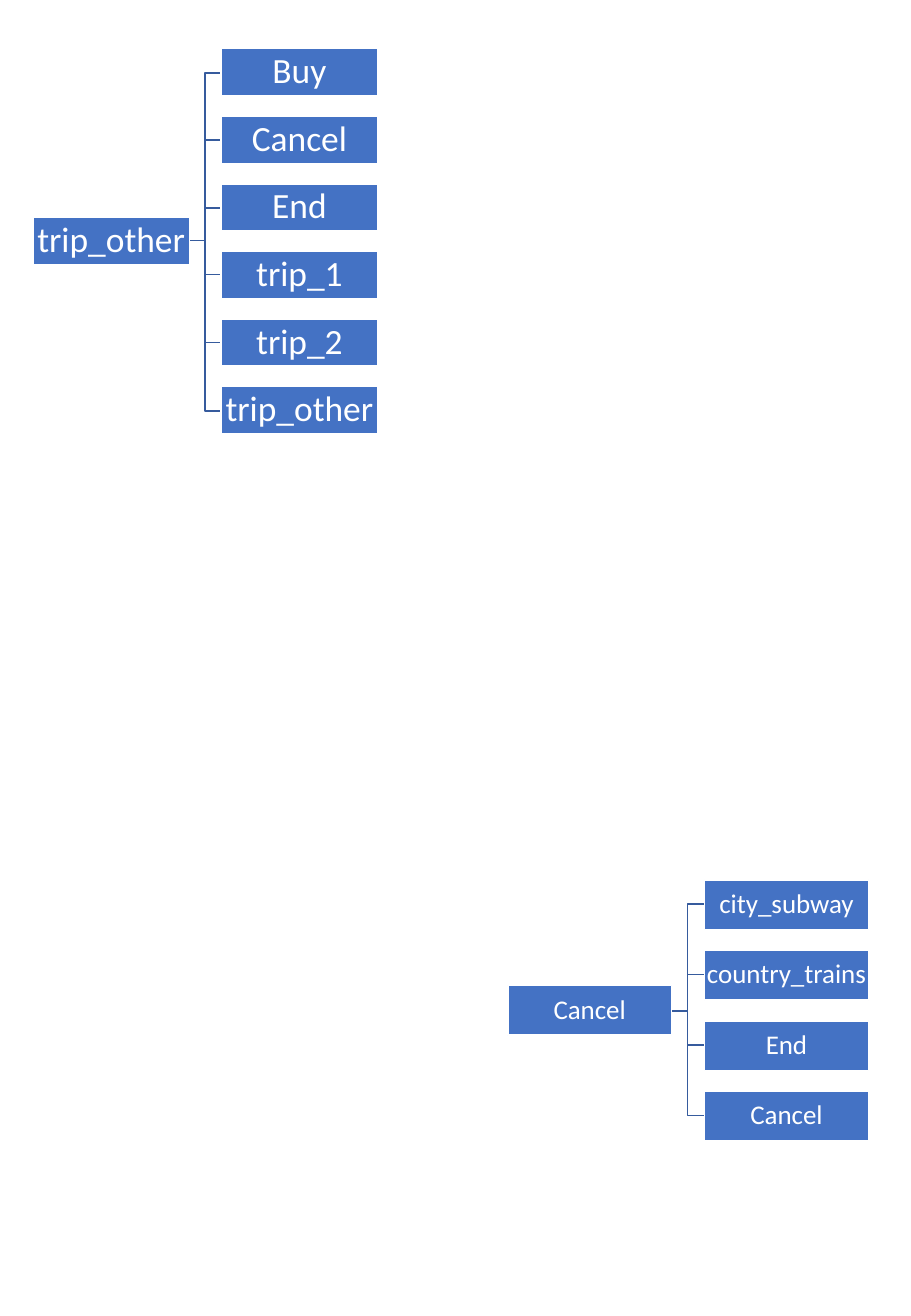
from pptx import Presentation
from pptx.dml.color import RGBColor
from pptx.enum.shapes import MSO_SHAPE
from pptx.enum.text import MSO_ANCHOR, PP_ALIGN
from pptx.util import Emu, Pt

EMU_PER_PX = 9144  # 100 px to the inch
BOX_BLUE = RGBColor(0x44, 0x72, 0xC4)
BRANCH_BLUE = RGBColor(0x36, 0x5B, 0x9D)
WHITE = RGBColor(0xFF, 0xFF, 0xFF)


def px(length):
    return Emu(round(length * EMU_PER_PX))


class TreeSlide:
    font = "Calibri"
    line_width = Pt(1)
    inset = px(1)

    def __init__(self, slide):
        self.slide = slide

    def box(self, group, label, left, top, width, height, size):
        node = group.shapes.add_shape(
            MSO_SHAPE.RECTANGLE, px(left), px(top), px(width), px(height))
        node.shadow.inherit = False
        node.fill.solid()
        node.fill.fore_color.rgb = BOX_BLUE
        node.line.color.rgb = WHITE
        node.line.width = self.line_width

        frame = node.text_frame
        frame.word_wrap = False
        frame.vertical_anchor = MSO_ANCHOR.MIDDLE
        frame.margin_left = frame.margin_right = self.inset
        frame.margin_top = frame.margin_bottom = self.inset
        paragraph = frame.paragraphs[0]
        paragraph.alignment = PP_ALIGN.CENTER
        paragraph.line_spacing = 0.9
        run = paragraph.add_run()
        run.text = label
        run.font.name = self.font
        run.font.size = Pt(size)
        run.font.color.rgb = WHITE

    def branch(self, group, start_x, start_y, end_x, end_y):
        """Draw a right-angled line that turns halfway across."""
        middle_x = (start_x + end_x) / 2
        builder = group.shapes.build_freeform(start_x, start_y, scale=EMU_PER_PX)
        builder.add_line_segments(
            [(middle_x, start_y), (middle_x, end_y), (end_x, end_y)], close=False)
        elbow = builder.convert_to_shape()
        elbow.shadow.inherit = False
        elbow.fill.background()
        elbow.line.color.rgb = BRANCH_BLUE
        elbow.line.width = self.line_width

    def tree(self, root, children, left, top, last_top, width, height, gap, size):
        """Draw a root box, centred beside an evenly spaced column of children."""
        group = self.slide.shapes.add_group_shape()
        pitch = (last_top - top) / (len(children) - 1)
        child_tops = [top + row * pitch for row in range(len(children))]
        root_top = (top + last_top) / 2
        root_right = left + width
        child_left = root_right + gap

        for child_top in reversed(child_tops):
            self.branch(group, root_right, root_top + height / 2,
                        child_left, child_top + height / 2)
        self.box(group, root, left, root_top, width, height, size)
        for label, child_top in zip(children, child_tops):
            self.box(group, label, child_left, child_top, width, height, size)


def main():
    deck = Presentation()
    deck.slide_width, deck.slide_height = px(750), px(1083)
    page = TreeSlide(deck.slides.add_slide(deck.slide_layouts[6]))
    page.tree("trip_other",
              ["Buy", "Cancel", "End", "trip_1", "trip_2", "trip_other"],
              left=27, top=40, last_top=318, width=129, height=39, gap=26, size=21)
    page.tree("Cancel",
              ["city_subway", "country_trains", "End", "Cancel"],
              left=418, top=724, last_top=898, width=135, height=41, gap=27, size=16)
    deck.save("out.pptx")


if __name__ == "__main__":
    main()
